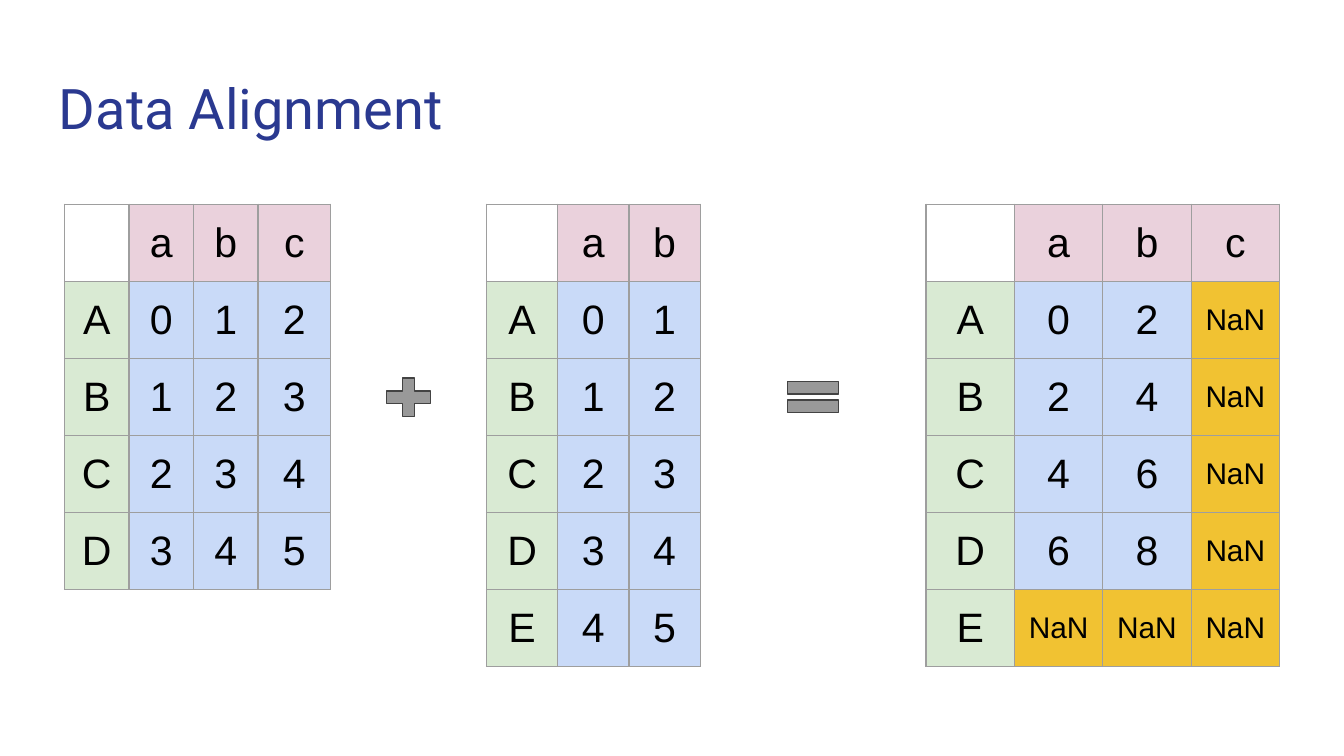
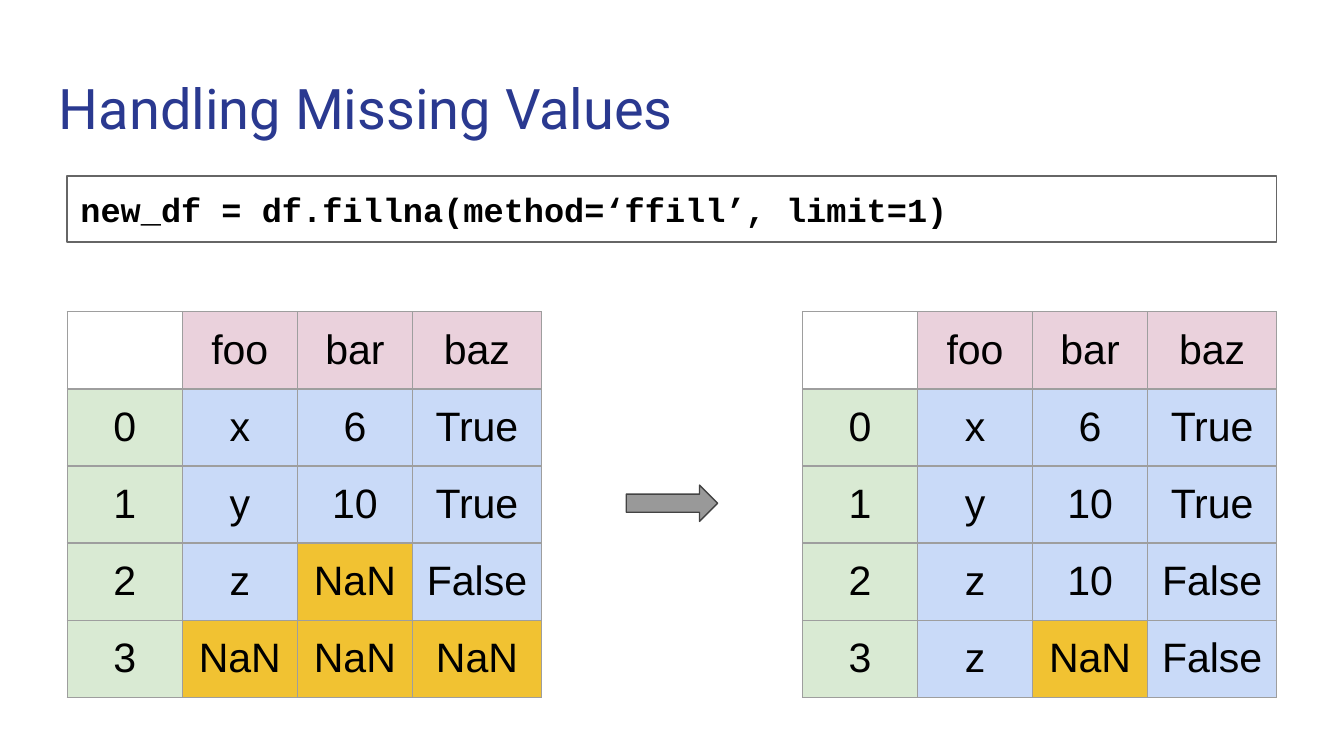
from lxml import etree
from pptx import Presentation
from pptx.dml.color import RGBColor
from pptx.enum.shapes import MSO_SHAPE
from pptx.enum.text import MSO_ANCHOR, PP_ALIGN
from pptx.oxml.ns import qn
from pptx.util import Inches, Pt

RECTANGLE = MSO_SHAPE.RECTANGLE
PLUS = MSO_SHAPE.MATH_PLUS
EQUAL = MSO_SHAPE.MATH_EQUAL
RIGHT_ARROW = MSO_SHAPE.RIGHT_ARROW
TOP, MIDDLE = MSO_ANCHOR.TOP, MSO_ANCHOR.MIDDLE
LEFT, CENTER = PP_ALIGN.LEFT, PP_ALIGN.CENTER

BLACK = RGBColor(0x00, 0x00, 0x00)
WHITE = RGBColor(0xFF, 0xFF, 0xFF)
TITLE_BLUE = RGBColor(0x2A, 0x39, 0x90)
HEADER_PINK = RGBColor(0xEA, 0xD1, 0xDC)
INDEX_GREEN = RGBColor(0xD9, 0xEA, 0xD3)
VALUE_BLUE = RGBColor(0xC9, 0xDA, 0xF8)
MISSING_YELLOW = RGBColor(0xF1, 0xC2, 0x32)
GRID_GRAY = RGBColor(0x9E, 0x9E, 0x9E)
SYMBOL_GRAY = RGBColor(0x99, 0x99, 0x99)
SYMBOL_EDGE = RGBColor(0x43, 0x43, 0x43)
CODE_EDGE = RGBColor(0x66, 0x66, 0x66)

SLIDE_WIDTH = 10
SLIDE_HEIGHT = SLIDE_WIDTH * 9 / 16
LINE_WIDTH = Pt(0.75)
MARGIN = Inches(0.1)
ROW_HEIGHT = 2.87 / 5
MISSING = "NaN"


def write_text(frame, text, font="Arial", size=22, color=BLACK, bold=False, align=LEFT):
    """Write one formatted paragraph into a text frame."""
    paragraph = frame.paragraphs[0]
    paragraph.alignment = align
    run = paragraph.add_run()
    run.text = text
    run.font.name = font
    run.font.size = Pt(size)
    run.font.color.rgb = color
    run.font.bold = bold


def set_margins(holder, anchor):
    """Give a cell or text frame equal margins and a vertical anchor."""
    holder.margin_left = holder.margin_right = MARGIN
    holder.margin_top = holder.margin_bottom = MARGIN
    holder.vertical_anchor = anchor


def add_title(slide, text):
    """Add the slide title."""
    box = slide.shapes.add_textbox(Inches(0.34), Inches(0.45), Inches(9.32), Inches(0.66))
    box.text_frame.word_wrap = True
    set_margins(box.text_frame, TOP)
    write_text(box.text_frame, text, font="Roboto", size=30, color=TITLE_BLUE)


def add_outlined_shape(slide, kind, left, top, width, height, edge=SYMBOL_EDGE, fill=SYMBOL_GRAY):
    """Add a preset shape with a thin outline and an optional fill."""
    shape = slide.shapes.add_shape(kind, Inches(left), Inches(top), Inches(width), Inches(height))
    shape.shadow.inherit = False
    shape.line.color.rgb = edge
    shape.line.width = LINE_WIDTH
    if fill is None:
        shape.fill.background()
    else:
        shape.fill.solid()
        shape.fill.fore_color.rgb = fill
    return shape


def add_code(slide, text, left, top, width, height):
    """Add an outlined box with a line of code."""
    shape = add_outlined_shape(slide, RECTANGLE, left, top, width, height, CODE_EDGE, None)
    shape.text_frame.word_wrap = True
    set_margins(shape.text_frame, MIDDLE)
    write_text(shape.text_frame, text, font="Courier New", size=18, bold=True)


def set_borders(cell):
    """Draw the grid line on all four sides of a cell."""
    properties = cell._tc.get_or_add_tcPr()
    for side in ("a:lnL", "a:lnR", "a:lnT", "a:lnB"):
        line = etree.SubElement(properties, qn(side), w=str(LINE_WIDTH))
        fill = etree.SubElement(line, qn("a:solidFill"))
        etree.SubElement(fill, qn("a:srgbClr"), val=str(GRID_GRAY))


def cell_color(row, column, text):
    """Choose the fill of a cell from its role in the data frame."""
    if row == 0:
        return HEADER_PINK if column else WHITE
    if column == 0:
        return INDEX_GREEN
    return MISSING_YELLOW if text == MISSING else VALUE_BLUE


def add_data_frame(slide, columns, records, left, top, width, last_width=None, missing_size=22):
    """Add a data frame as a table with a header row and an index column."""
    rows = [[""] + columns.split()] + [record.split() for record in records]
    count = len(rows[0])
    table = slide.shapes.add_table(
        len(rows), count, Inches(left), Inches(top), Inches(width), Inches(ROW_HEIGHT * len(rows))
    ).table
    table.first_row = table.horz_banding = False
    last_width = last_width or width / count
    for column in table.columns:
        column.width = Inches((width - last_width) / (count - 1))
    table.columns[count - 1].width = Inches(last_width)
    for row, texts in enumerate(rows):
        table.rows[row].height = Inches(ROW_HEIGHT)
        for column, text in enumerate(texts):
            cell = table.cell(row, column)
            set_borders(cell)
            set_margins(cell, MIDDLE)
            cell.fill.solid()
            cell.fill.fore_color.rgb = cell_color(row, column, text)
            if text:
                size = missing_size if text == MISSING else 22
                write_text(cell.text_frame, text, size=size, align=CENTER)


def build_alignment(slide):
    """Build the sum of two data frames with different labels."""
    top, symbol_top, symbol_height = 1.52, 2.76, 0.39
    add_title(slide, "Data Alignment")
    add_data_frame(slide, "a b c", ["A 0 1 2", "B 1 2 3", "C 2 3 4", "D 3 4 5"],
                   0.48, top, 1.98, last_width=0.54)
    add_data_frame(slide, "a b", ["A 0 1", "B 1 2", "C 2 3", "D 3 4", "E 4 5"], 3.62, top, 1.59)
    add_outlined_shape(slide, PLUS, 2.82, symbol_top, 0.44, symbol_height)
    add_data_frame(slide, "a b c",
                   ["A 0 2 NaN", "B 2 4 NaN", "C 4 6 NaN", "D 6 8 NaN", "E NaN NaN NaN"],
                   6.89, top, 2.63, missing_size=16)
    add_outlined_shape(slide, EQUAL, 5.79, symbol_top, 0.52, symbol_height)


def build_missing_values(slide):
    """Build the data frame before and after filling missing values."""
    top, width, last_width = 2.32, 3.53, 0.96
    columns = "foo bar baz"
    complete = ["0 x 6 True", "1 y 10 True"]
    add_title(slide, "Handling Missing Values")
    add_code(slide, "new_df = df.fillna(method=‘ffill’, limit=1)", 0.5, 1.31, 9, 0.49)
    add_outlined_shape(slide, RIGHT_ARROW, 4.66, 3.61, 0.68, 0.27)
    add_data_frame(slide, columns, complete + ["2 z NaN False", "3 NaN NaN NaN"],
                   0.5, top, width, last_width)
    add_data_frame(slide, columns, complete + ["2 z 10 False", "3 z NaN False"],
                   5.97, top, width, last_width)


def main():
    """Build and save the presentation."""
    presentation = Presentation()
    presentation.slide_width = Inches(SLIDE_WIDTH)
    presentation.slide_height = Inches(SLIDE_HEIGHT)
    blank = presentation.slide_layouts[6]
    for build in (build_alignment, build_missing_values):
        build(presentation.slides.add_slide(blank))
    presentation.save("out.pptx")


if __name__ == "__main__":
    main()
